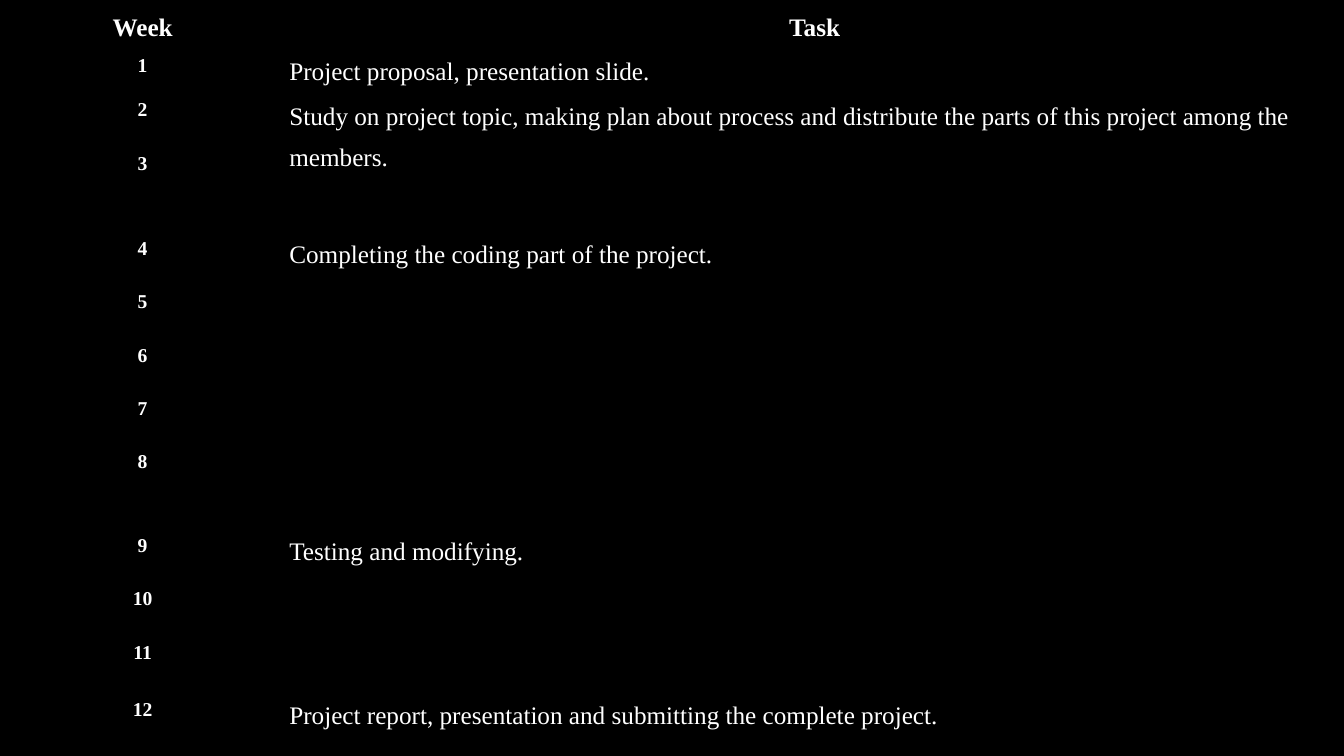
"""Builds the weekly project schedule slide."""
from lxml.etree import SubElement
from pptx import Presentation
from pptx.dml.color import RGBColor
from pptx.enum.text import PP_ALIGN as Align
from pptx.oxml.ns import qn
from pptx.util import Inches, Pt

BLACK = RGBColor(0x00, 0x00, 0x00)
WHITE = RGBColor(0xFF, 0xFF, 0xFF)

COLUMN_WIDTHS = (2.83, 10.5)
SCHEDULE = [
    (0.44, range(1, 2), "Project proposal, presentation slide."),
    (1.37, range(2, 4), "Study on project topic, making plan about process and "
                        "distribute the parts of this project among the members."),
    (2.95, range(4, 9), "Completing the coding part of the project."),
    (1.63, range(9, 12), "Testing and modifying."),
    (0.67, range(12, 13), "Project report, presentation and submitting the complete project."),
]


class ScheduleSlide:
    font_name = "Times New Roman"
    border_width = Pt(1)

    def __init__(self, deck):
        self.slide = deck.slides.add_slide(deck.slide_layouts[6])
        background = self.slide.background.fill
        background.solid()
        background.fore_color.rgb = BLACK

    def table(self, column_widths, row_heights):
        grid = self.slide.shapes.add_table(
            len(row_heights), len(column_widths), 0, 0,
            Inches(sum(column_widths)), Inches(sum(row_heights))).table
        for column, width in zip(grid.columns, column_widths):
            column.width = Inches(width)
        for row, height in zip(grid.rows, row_heights):
            row.height = Inches(height)
        return grid

    def borders(self, cell):
        properties = cell._tc.get_or_add_tcPr()
        for side in ("lnL", "lnR", "lnT", "lnB"):
            line = SubElement(properties, qn(f"a:{side}"), w=str(self.border_width))
            fill = SubElement(line, qn("a:solidFill"))
            SubElement(fill, qn("a:srgbClr"), val=str(BLACK))

    def cell(self, cell, lines, size, heading):
        self.borders(cell)
        cell.fill.solid()
        cell.fill.fore_color.rgb = BLACK
        cell.margin_left = cell.margin_right = Inches(0.04)
        cell.margin_top = cell.margin_bottom = 0
        cell.text = "\n".join(lines)
        for paragraph in cell.text_frame.paragraphs:
            paragraph.alignment = Align.CENTER if heading else Align.LEFT
            paragraph.line_spacing = 1.5
            paragraph.space_before = Pt(12 if heading else 0)
            paragraph.space_after = Pt(3 if heading else 8)
            paragraph.font.name = self.font_name
            paragraph.font.size = Pt(size)
            paragraph.font.bold = heading
            paragraph.font.color.rgb = WHITE


def main():
    deck = Presentation()
    deck.slide_width, deck.slide_height = Inches(13.33), Inches(7.5)
    page = ScheduleSlide(deck)
    plan = page.table(COLUMN_WIDTHS, [0.44] + [height for height, _, _ in SCHEDULE])
    for column, title in enumerate(("Week", "Task")):
        page.cell(plan.cell(0, column), [title], 18, True)
    for row, (_, weeks, task) in enumerate(SCHEDULE, start=1):
        page.cell(plan.cell(row, 0), map(str, weeks), 14, True)
        page.cell(plan.cell(row, 1), [task], 18, False)
    deck.save("out.pptx")


if __name__ == "__main__":
    main()
